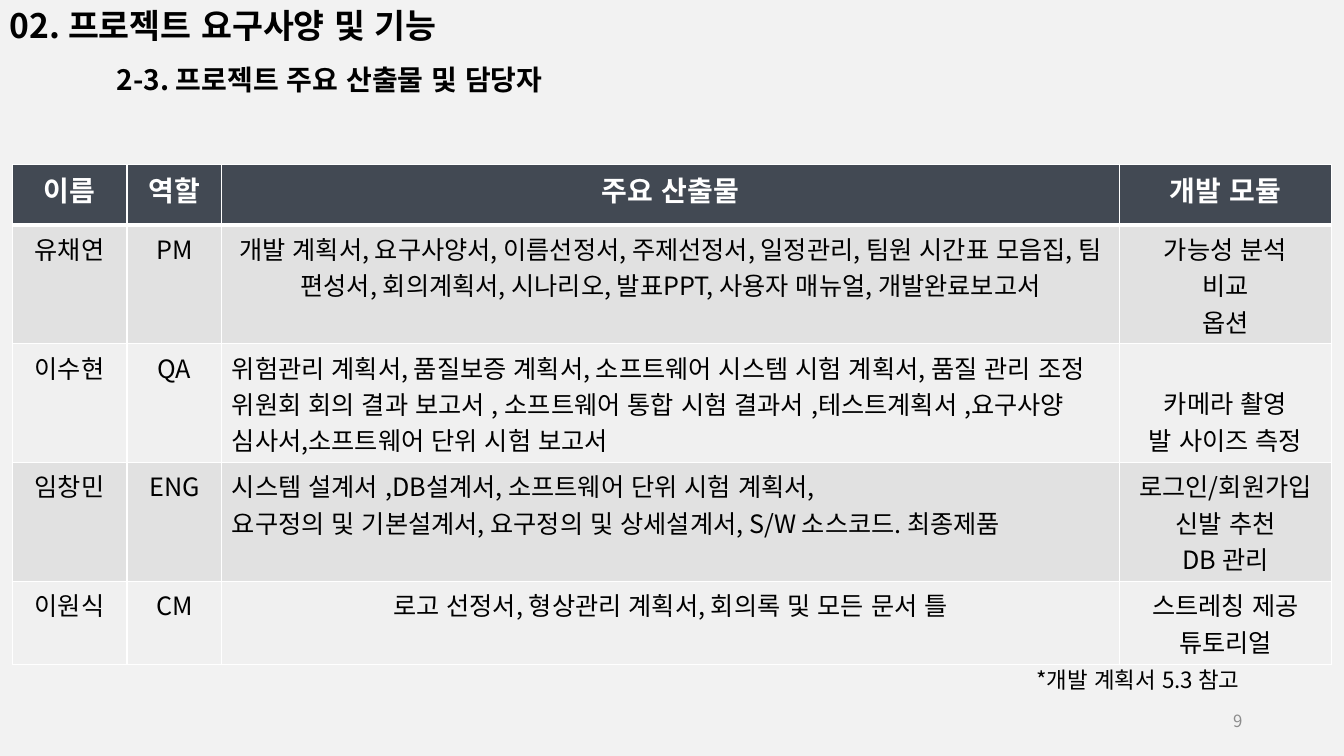
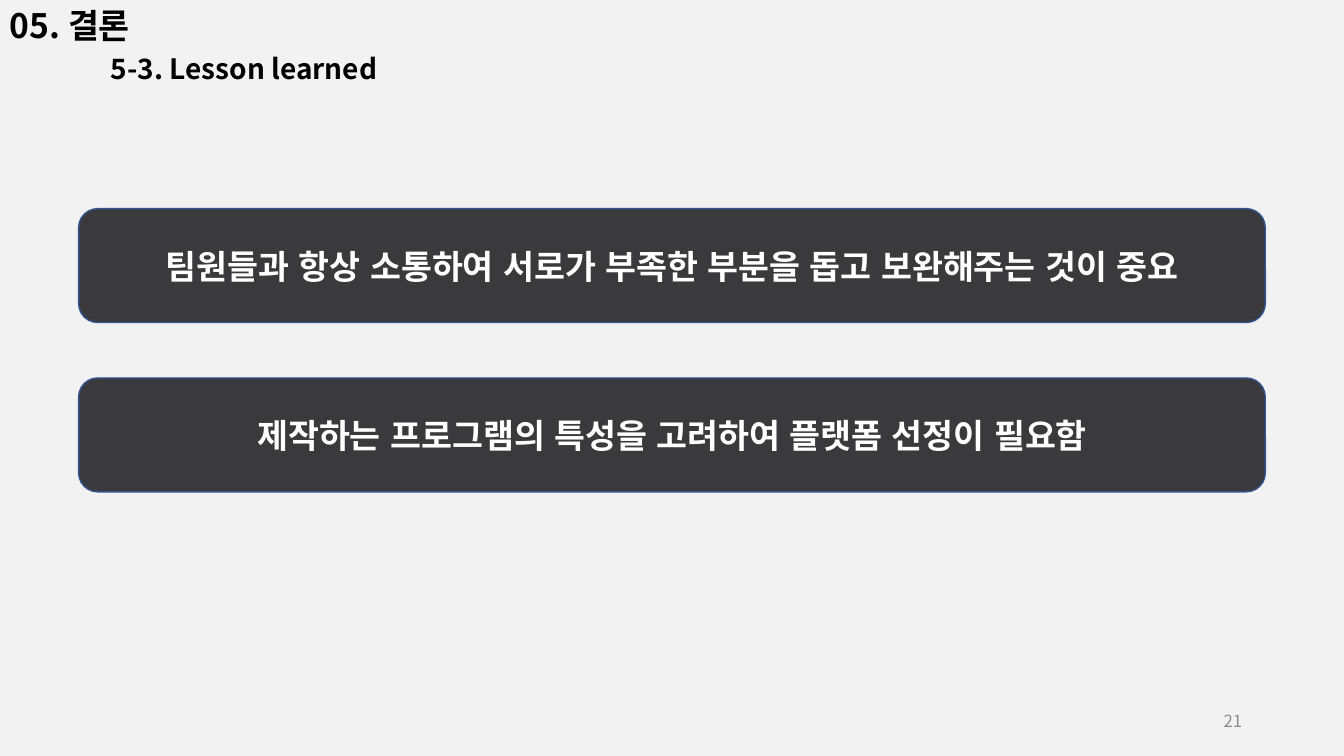
from lxml import etree
from pptx import Presentation
from pptx.dml.color import RGBColor
from pptx.enum.lang import MSO_LANGUAGE_ID
from pptx.enum.shapes import MSO_SHAPE
from pptx.enum.text import MSO_ANCHOR, PP_ALIGN
from pptx.oxml.ns import qn
from pptx.util import Inches, Pt

# Style
FONT = "Noto Sans CJK KR"
BACKGROUND = RGBColor(0xF2, 0xF2, 0xF2)
BLACK = RGBColor(0x00, 0x00, 0x00)
WHITE = RGBColor(0xFF, 0xFF, 0xFF)
GRAY = RGBColor(0x8C, 0x8C, 0x8C)
HEADER_FILL = RGBColor(0x42, 0x49, 0x53)
ROW_FILLS = (RGBColor(0xE1, 0xE1, 0xE1), RGBColor(0xF0, 0xF0, 0xF0))
BOX_FILL = RGBColor(0x3A, 0x3A, 0x3C)
BOX_LINE = RGBColor(0x32, 0x54, 0x91)
LEFT, CENTER, RIGHT = PP_ALIGN.LEFT, PP_ALIGN.CENTER, PP_ALIGN.RIGHT
TOP, MIDDLE, BOTTOM = MSO_ANCHOR.TOP, MSO_ANCHOR.MIDDLE, MSO_ANCHOR.BOTTOM
ROUNDED = MSO_SHAPE.ROUNDED_RECTANGLE
KOREAN = MSO_LANGUAGE_ID.KOREAN


class Deck:
    def __init__(self):
        self.presentation = Presentation()
        self.presentation.slide_width = Inches(13.33)
        self.presentation.slide_height = Inches(7.5)
        self.slide = None

    def add_slide(self, number):
        layout = self.presentation.slide_layouts[6]
        self.slide = self.presentation.slides.add_slide(layout)
        self.slide.background.fill.solid()
        self.slide.background.fill.fore_color.rgb = BACKGROUND
        self.text(number, 9.42, 6.95, 3, 0.4, 12, GRAY, RIGHT, MIDDLE)

    def format(self, paragraph, size, color, bold=False, align=LEFT):
        paragraph.alignment = align
        for run in paragraph.runs:
            font = run.font
            font.name, font.size, font.bold = FONT, Pt(size), bold
            font.color.rgb = color
            font.language_id = KOREAN
            properties = run._r.get_or_add_rPr()
            etree.SubElement(properties, qn("a:ea"), typeface=FONT)

    def fill_text(self, frame, text, size, color, bold=False, align=LEFT):
        frame.text = text
        for paragraph in frame.paragraphs:
            self.format(paragraph, size, color, bold, align)

    def text(self, text, left, top, width, height, size, color, align=LEFT, anchor=TOP):
        shape = self.slide.shapes.add_textbox(
            Inches(left), Inches(top), Inches(width), Inches(height))
        frame = shape.text_frame
        frame.word_wrap = True
        frame.vertical_anchor = anchor
        self.fill_text(frame, text, size, color, align=align)
        return frame

    def title(self, title, subtitle, indent, line_spacing, space_before):
        frame = self.text(f"{title}\n{subtitle}", 0, 0, 6.67, 0.94, 24, BLACK)
        heading, subheading = frame.paragraphs
        heading.runs[0].font.bold = True
        font = subheading.runs[0].font
        font.size, font.bold = Pt(20), True
        subheading.line_spacing = line_spacing
        subheading.space_before = Pt(space_before)
        subheading._p.get_or_add_pPr().set("marL", str(Inches(indent)))

    def message_box(self, text, top):
        shape = self.slide.shapes.add_shape(
            ROUNDED, Inches(0.78), Inches(top), Inches(11.77), Inches(1.13))
        shape.shadow.inherit = False
        shape.fill.solid()
        shape.fill.fore_color.rgb = BOX_FILL
        shape.line.color.rgb = BOX_LINE
        shape.line.width = Pt(1)
        shape.text_frame.word_wrap = True
        shape.text_frame.vertical_anchor = MIDDLE
        self.fill_text(shape.text_frame, text, 24, WHITE, True, CENTER)

    def cell_borders(self, cell, widths):
        properties = cell._tc.get_or_add_tcPr()
        for index, (side, width) in enumerate(widths.items()):
            line = etree.Element(qn(f"a:ln{side}"), w=str(Pt(width)))
            fill = etree.SubElement(line, qn("a:solidFill"))
            etree.SubElement(fill, qn("a:srgbClr"), val=str(WHITE))
            properties.insert(index, line)

    def table(self, rows, left, top, column_widths, row_heights, left_cells, bottom_cells):
        table = self.slide.shapes.add_table(
            len(rows), len(column_widths), Inches(left), Inches(top),
            Inches(sum(column_widths)), Inches(sum(row_heights))).table
        table.horz_banding = False
        for column, width in zip(table.columns, column_widths):
            column.width = Inches(width)
        for row, height in zip(table.rows, row_heights):
            row.height = Inches(height)
        for r, row in enumerate(rows):
            header = r == 0
            for c, text in enumerate(row):
                cell = table.cell(r, c)
                cell.fill.solid()
                cell.fill.fore_color.rgb = HEADER_FILL if header else ROW_FILLS[(r - 1) % 2]
                cell.vertical_anchor = BOTTOM if (r, c) in bottom_cells else TOP
                align = LEFT if (r, c) in left_cells else CENTER
                self.fill_text(cell.text_frame, text, 20 if header else 18,
                               WHITE if header else BLACK, header, align)
                self.cell_borders(cell, {"L": 1, "R": 1, "T": 3 if r == 1 else 1,
                                         "B": 3 if header else 1})


DELIVERABLES = [
    ("이름", "역할", "주요 산출물", "개발 모듈"),
    ("유채연", "PM",
     "개발 계획서, 요구사양서, 이름선정서, 주제선정서, 일정관리, 팀원 시간표 모음집, "
     "팀 편성서, 회의계획서, 시나리오, 발표PPT, 사용자 매뉴얼, 개발완료보고서",
     "가능성 분석\n비교\n옵션"),
    ("이수현", "QA",
     "위험관리 계획서, 품질보증 계획서, 소프트웨어 시스템 시험 계획서, 품질 관리 조정 위원회 "
     "회의 결과 보고서 , 소프트웨어 통합 시험 결과서 ,테스트계획서 ,요구사양 심사서,"
     "소프트웨어 단위 시험 보고서",
     "카메라 촬영\n발 사이즈 측정"),
    ("임창민", "ENG",
     "시스템 설계서 ,DB설계서, 소프트웨어 단위 시험 계획서,\n"
     "요구정의 및 기본설계서, 요구정의 및 상세설계서, S/W 소스코드. 최종제품",
     "로그인/회원가입\n신발 추천\nDB 관리"),
    ("이원식", "CM", "로고 선정서, 형상관리 계획서, 회의록 및 모든 문서 틀",
     "스트레칭 제공\n튜토리얼"),
]
LESSONS = [
    "팀원들과 항상 소통하여 서로가 부족한 부분을 돕고 보완해주는 것이 중요",
    "제작하는 프로그램의 특성을 고려하여 플랫폼 선정이 필요함",
]


def main():
    deck = Deck()

    # Deliverables and owners
    deck.add_slide("9")
    deck.table(DELIVERABLES, 0.12, 1.63, (1.14, 0.94, 8.9, 2.11),
               (0.6, 1.18, 1.18, 1.18, 0.82),
               left_cells={(2, 2), (3, 2)}, bottom_cells={(2, 3)})
    deck.text("*개발 계획서 5.3 참고", 10.18, 6.56, 3.1, 0.37, 16, BLACK)
    deck.title("02. 프로젝트 요구사양 및 기능", "2-3. 프로젝트 주요 산출물 및 담당자",
               indent=1.06, line_spacing=1.5, space_before=0)

    # Lessons learned
    deck.add_slide("21")
    deck.title("05. 결론", "5-3. Lesson learned",
               indent=1, line_spacing=1, space_before=4.5)
    for index, lesson in enumerate(LESSONS):
        deck.message_box(lesson, 2.07 + index * 1.68)

    deck.presentation.save("out.pptx")


if __name__ == "__main__":
    main()
